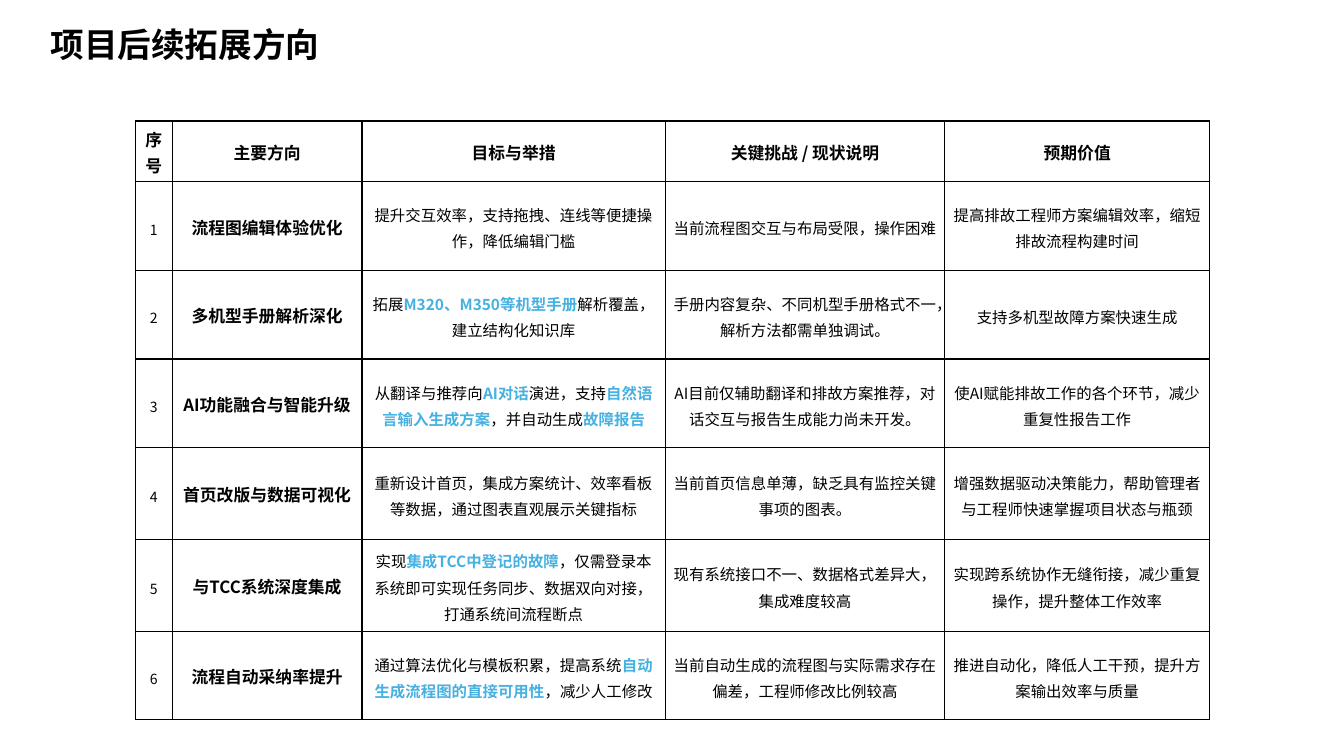
from lxml.etree import SubElement
from pptx import Presentation
from pptx.dml.color import RGBColor
from pptx.enum.text import MSO_ANCHOR, MSO_AUTO_SIZE, PP_ALIGN
from pptx.oxml.ns import qn
from pptx.util import Inches, Pt

FONT = "Noto Sans CJK SC"
COLORS = {"ink": "000000", "accent": "46B1E1", "paper": "FFFFFF"}

# Grid of the plan table, in inches
TABLE_LEFT, TABLE_TOP = 1.34, 1.2
COLUMNS = [0.37, 1.88, 3.01, 2.77, 2.63]
ROWS = [0.6, 0.88, 0.88, 0.88, 0.91, 0.91, 0.88]

# Point size and weight of the body columns
COLUMN_STYLES = [(10, False), (12, True), (11, False), (11, False), (11, False)]
HEADER_STYLE = (12, True)

HEADINGS = ["序号", "主要方向", "目标与举措", "关键挑战 / 现状说明", "预期价值"]

# Words between asterisks are highlighted
DIRECTIONS = [
    ["流程图编辑体验优化",
     "提升交互效率，支持拖拽、连线等便捷操作，降低编辑门槛",
     "当前流程图交互与布局受限，操作困难",
     "提高排故工程师方案编辑效率，缩短排故流程构建时间"],
    ["多机型手册解析深化",
     "拓展*M320、M350等机型手册*解析覆盖，建立结构化知识库",
     "手册内容复杂、不同机型手册格式不一，解析方法都需单独调试。",
     "支持多机型故障方案快速生成"],
    ["AI功能融合与智能升级",
     "从翻译与推荐向*AI对话*演进，支持*自然语言输入生成方案*，并自动生成*故障报告*",
     "AI目前仅辅助翻译和排故方案推荐，对话交互与报告生成能力尚未开发。",
     "使AI赋能排故工作的各个环节，减少重复性报告工作"],
    ["首页改版与数据可视化",
     "重新设计首页，集成方案统计、效率看板等数据，通过图表直观展示关键指标",
     "当前首页信息单薄，缺乏具有监控关键事项的图表。",
     "增强数据驱动决策能力，帮助管理者与工程师快速掌握项目状态与瓶颈"],
    ["与TCC系统深度集成",
     "实现*集成TCC中登记的故障*，仅需登录本系统即可实现任务同步、数据双向对接，打通系统间流程断点",
     "现有系统接口不一、数据格式差异大，集成难度较高",
     "实现跨系统协作无缝衔接，减少重复操作，提升整体工作效率"],
    ["流程自动采纳率提升",
     "通过算法优化与模板积累，提高系统*自动生成流程图的直接可用性*，减少人工修改",
     "当前自动生成的流程图与实际需求存在偏差，工程师修改比例较高",
     "推进自动化，降低人工干预，提升方案输出效率与质量"],
]


def format_run(run, size, bold, color="ink"):
    run.font.size = Pt(size)
    run.font.bold = bold
    run.font.color.rgb = RGBColor.from_string(COLORS[color])
    run.font.name = FONT
    SubElement(run.font._element, qn("a:ea"), typeface=FONT)


def add_title(slide, wording):
    title = slide.shapes.title
    title.left, title.top = Inches(0.4), Inches(0.19)
    title.width, title.height = Inches(3.87), Inches(0.5)
    frame = title.text_frame
    frame.text = wording
    frame.word_wrap = False
    frame.auto_size = MSO_AUTO_SIZE.NONE
    frame.vertical_anchor = MSO_ANCHOR.MIDDLE
    heading = frame.paragraphs[0]
    heading.alignment = PP_ALIGN.LEFT
    format_run(heading.runs[0], 24, True)


def set_borders(cell):
    properties = cell._tc.get_or_add_tcPr()
    for side in ("lnL", "lnR", "lnT", "lnB"):
        border = SubElement(properties, qn(f"a:{side}"), w=str(Pt(1)))
        ink = SubElement(border, qn("a:solidFill"))
        SubElement(ink, qn("a:srgbClr"), val=COLORS["ink"])


def fill_cell(cell, wording, size, bold):
    set_borders(cell)
    cell.fill.solid()
    cell.fill.fore_color.rgb = RGBColor.from_string(COLORS["paper"])
    cell.vertical_anchor = MSO_ANCHOR.MIDDLE
    cell.margin_left = cell.margin_right = Inches(0.06)
    cell.margin_top = cell.margin_bottom = Inches(0.04)

    paragraph = cell.text_frame.paragraphs[0]
    paragraph.alignment = PP_ALIGN.CENTER
    paragraph.line_spacing = Pt(18.8)
    for position, part in enumerate(wording.split("*")):
        if part:
            highlighted = position % 2 == 1
            run = paragraph.add_run()
            run.text = part
            format_run(run, size, bold or highlighted,
                       "accent" if highlighted else "ink")


def add_plan(slide):
    plan = slide.shapes.add_table(
        len(ROWS), len(COLUMNS), Inches(TABLE_LEFT), Inches(TABLE_TOP),
        Inches(sum(COLUMNS)), Inches(sum(ROWS))).table
    plan.horz_banding = False
    for column, width in zip(plan.columns, COLUMNS):
        column.width = Inches(width)
    for row, height in zip(plan.rows, ROWS):
        row.height = Inches(height)

    # Header row, then the numbered directions
    for cell, heading in zip(plan.rows[0].cells, HEADINGS):
        fill_cell(cell, heading, *HEADER_STYLE)
    for number, direction in enumerate(DIRECTIONS, start=1):
        entries = [str(number), *direction]
        for cell, entry, style in zip(plan.rows[number].cells, entries, COLUMN_STYLES):
            fill_cell(cell, entry, *style)


def main():
    deck = Presentation()
    deck.slide_width, deck.slide_height = Inches(13.33), Inches(7.5)
    slide = deck.slides.add_slide(deck.slide_layouts.get_by_name("Title Only"))
    add_title(slide, "项目后续拓展方向")
    add_plan(slide)
    deck.save("out.pptx")


if __name__ == "__main__":
    main()
